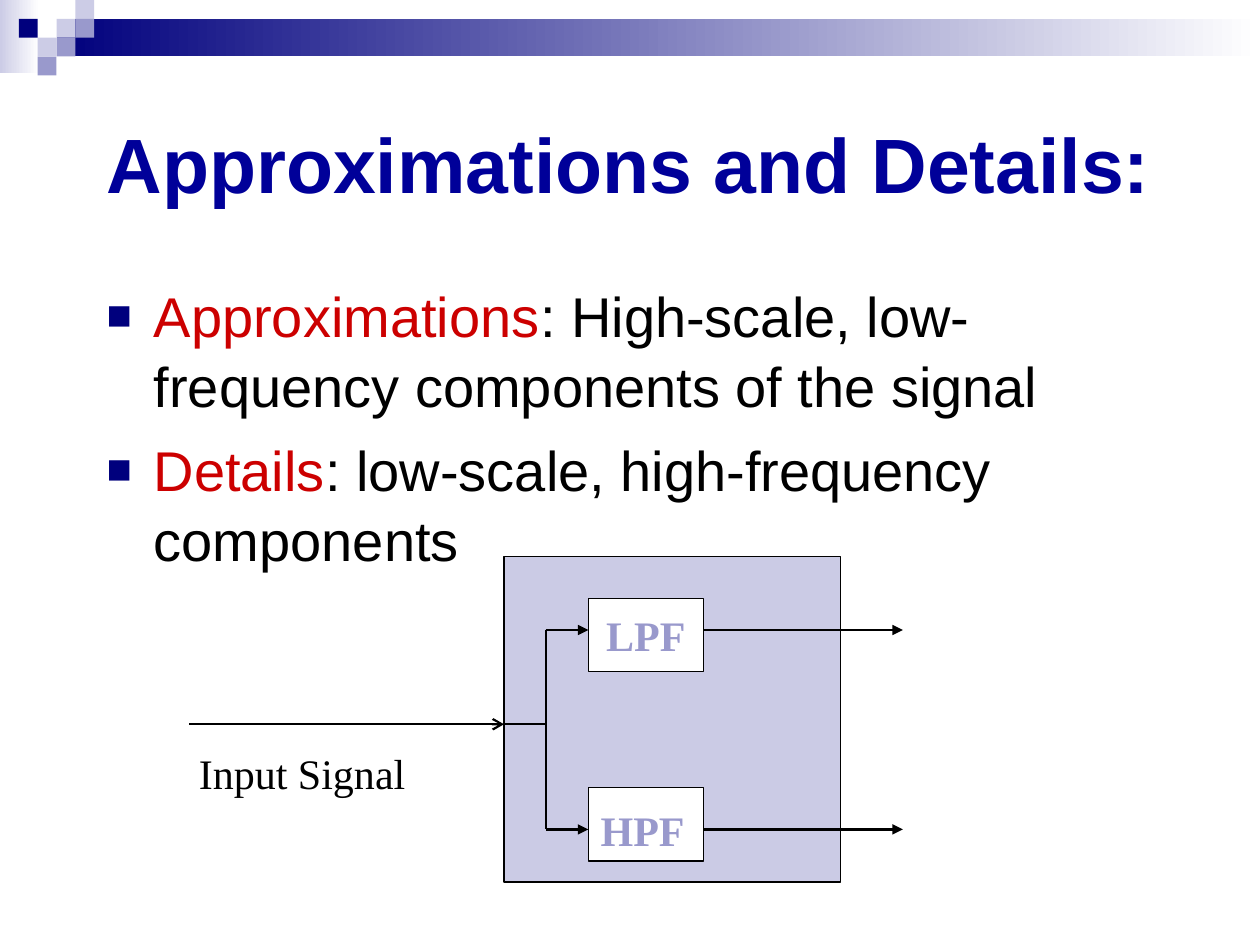
from lxml.etree import SubElement
from pptx import Presentation
from pptx.dml.color import RGBColor
from pptx.enum.shapes import MSO_CONNECTOR, MSO_SHAPE
from pptx.enum.text import MSO_ANCHOR, PP_ALIGN
from pptx.oxml.ns import qn
from pptx.util import Cm, Pt

NAVY = "00007D"
LILAC = "9999CC"
PALE = "CCCCE6"
WHITE = "FFFFFF"
BLACK = "000000"
RED = "CC0000"
SERIF = "Times New Roman"


def color(value):
    return RGBColor.from_string(value)


def add_rectangle(slide, left, top, width, height, fill, outlined=False):
    shape = slide.shapes.add_shape(
        MSO_SHAPE.RECTANGLE, Cm(left), Cm(top), Cm(width), Cm(height))
    shape.shadow.inherit = False
    shape.fill.solid()
    shape.fill.fore_color.rgb = color(fill)
    if outlined:
        shape.line.color.rgb = color(BLACK)
        shape.line.width = Pt(0.75)
    else:
        shape.line.fill.background()
    return shape


def add_gradient(slide, left, top, width, height, start):
    shape = add_rectangle(slide, left, top, width, height, start)
    shape.fill.gradient()
    shape.fill.gradient_angle = 0
    for stop, position, value in zip(shape.fill.gradient_stops, (0, 1), (start, WHITE)):
        stop.position = position
        stop.color.rgb = color(value)


def set_transparency(shape, opacity):
    fill_color = shape.element.spPr.find(qn("a:solidFill")).find(qn("a:srgbClr"))
    SubElement(fill_color, qn("a:alpha"), val=str(opacity * 1000))


def format_run(run, size, name, value, bold=False):
    run.font.size = Pt(size)
    run.font.name = name
    run.font.bold = bold
    run.font.color.rgb = color(value)


def add_text(slide, text, left, top, width, height, size, name, value, bold=False):
    shape = slide.shapes.add_textbox(Cm(left), Cm(top), Cm(width), Cm(height))
    text_frame = shape.text_frame
    text_frame.word_wrap = True
    text_frame.text = text
    format_run(text_frame.paragraphs[0].runs[0], size, name, value, bold)
    return text_frame


def add_bullet(paragraph):
    properties = paragraph._p.get_or_add_pPr()
    properties.set("marL", str(Cm(0.95)))
    properties.set("indent", str(Cm(-0.95)))
    bullet_color = SubElement(properties, qn("a:buClr"))
    SubElement(bullet_color, qn("a:srgbClr"), val=NAVY)
    SubElement(properties, qn("a:buSzPct"), val="75000")
    SubElement(properties, qn("a:buFont"), typeface="Arial")
    SubElement(properties, qn("a:buChar"), char="■")


def add_definitions(slide, definitions):
    shape = slide.shapes.add_textbox(Cm(1.9), Cm(5.5), Cm(21.6), Cm(6.15))
    text_frame = shape.text_frame
    text_frame.word_wrap = True
    for index, (term, meaning) in enumerate(definitions):
        paragraph = text_frame.add_paragraph() if index else text_frame.paragraphs[0]
        add_bullet(paragraph)
        paragraph.line_spacing = 1.04
        if index:
            paragraph.space_before = Pt(8)
        for text, value in ((term, RED), (meaning, BLACK)):
            run = paragraph.add_run()
            run.text = text
            format_run(run, 32, "Arial", value)


def add_line(slide, start, end, head=None, width=1.25):
    connector = slide.shapes.add_connector(
        MSO_CONNECTOR.STRAIGHT, *(Cm(value) for value in start + end))
    connector.line.color.rgb = color(BLACK)
    connector.line.width = Pt(width)
    if head:
        SubElement(connector.line._get_or_add_ln(), qn("a:tailEnd"), type=head)
    SubElement(connector.element.spPr, qn("a:effectLst"))


def add_header(slide):
    add_gradient(slide, 0, 0, 0.79, 1.47, PALE)
    add_gradient(slide, 1.14, 0.38, 24.26, 0.76, NAVY)
    step = 0.38
    squares = [(3, 1, PALE), (4, 0, PALE), (4, 1, LILAC), (2, 2, PALE),
               (1, 1, NAVY), (3, 2, LILAC), (2, 3, LILAC)]
    for column, row, fill in squares:
        add_rectangle(slide, column * step, row * step, step, step, fill)


def add_filter_diagram(slide):
    bank_left, split, filter_left, filter_right, output = 10.16, 11, 11.86, 14.18, 18.2
    low, middle, high = 12.7, 14.6, 16.72
    filter_width = filter_right - filter_left

    bank = add_rectangle(slide, bank_left, 11.22, 6.78, 6.56, LILAC, True)
    set_transparency(bank, 50)
    add_line(slide, (3.81, middle), (bank_left, middle), "arrow")
    add_text(slide, "Input Signal", 3.76, 14.94, 5.54, 1.27, 24, SERIF, BLACK)
    add_line(slide, (bank_left, middle), (split, middle))
    add_line(slide, (split, low), (split, high))
    add_line(slide, (split, low), (filter_left, low), "triangle", 0.75)
    add_line(slide, (split, high), (filter_left, high), "triangle")

    low_pass = add_rectangle(slide, filter_left, 12.06, filter_width, 1.48, WHITE, True)
    text_frame = low_pass.text_frame
    text_frame.word_wrap = False
    text_frame.vertical_anchor = MSO_ANCHOR.MIDDLE
    text_frame.text = "LPF"
    text_frame.paragraphs[0].alignment = PP_ALIGN.CENTER
    format_run(text_frame.paragraphs[0].runs[0], 24, SERIF, LILAC, True)

    add_rectangle(slide, filter_left, 15.88, filter_width, 1.48, WHITE, True)
    add_text(slide, "HPF", filter_left, 16.09, 2.75, 1.27, 24, SERIF, LILAC, True)
    for level in (low, high):
        add_line(slide, (filter_right, level), (output, level), "triangle")


def main():
    presentation = Presentation()
    presentation.slide_width = Cm(25.4)
    presentation.slide_height = Cm(19.05)
    slide = presentation.slides.add_slide(presentation.slide_layouts[6])
    add_header(slide)
    title = add_text(slide, "Approximations and Details:",
                     1.9, 1.7, 21.6, 3.18, 44, "Arial", "000099", True)
    title.vertical_anchor = MSO_ANCHOR.MIDDLE
    add_definitions(slide, [
        ("Approximations", ": High-scale, low-frequency components of the signal"),
        ("Details", ": low-scale, high-frequency components"),
    ])
    add_filter_diagram(slide)
    presentation.save("out.pptx")


if __name__ == "__main__":
    main()
